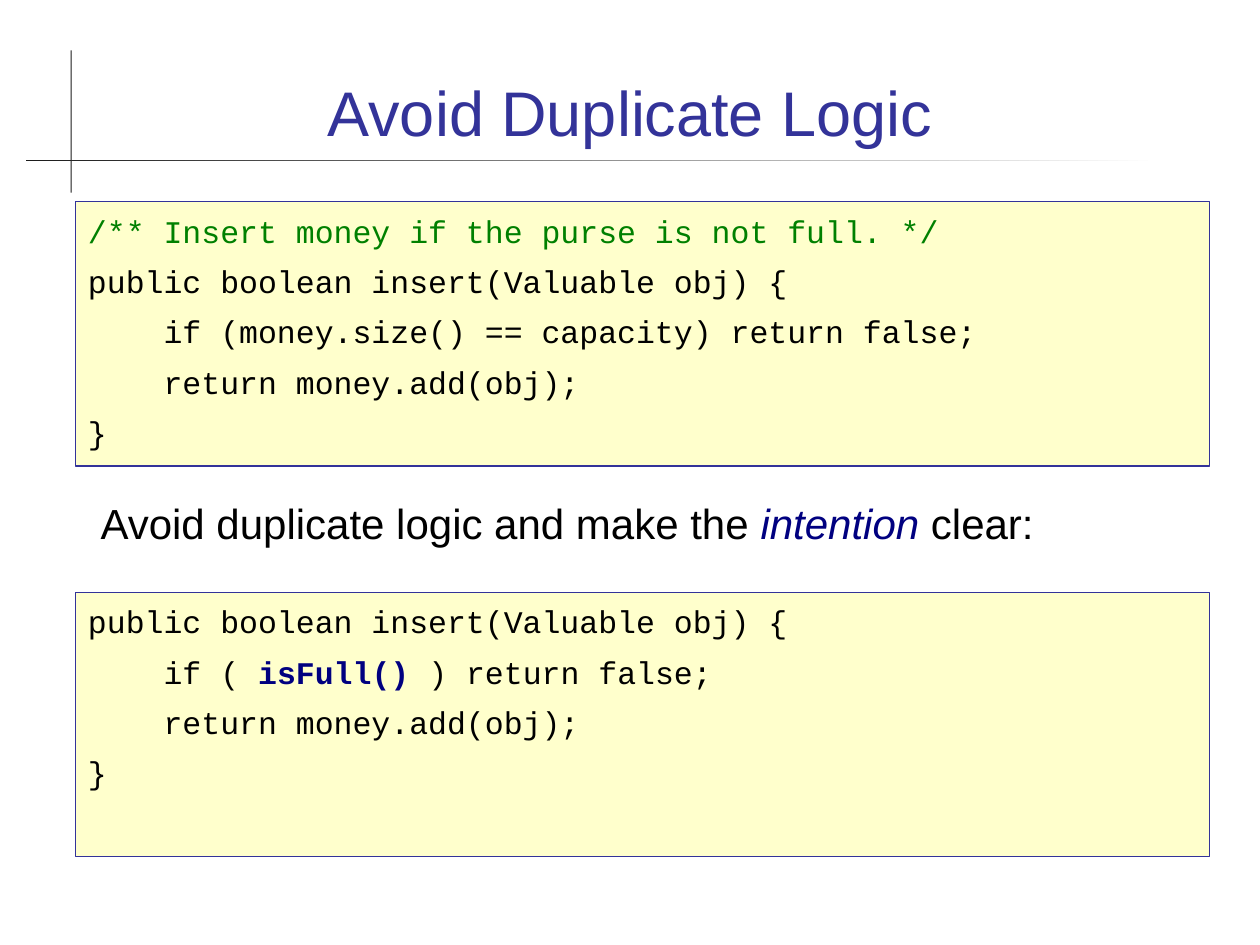
"""Build the slide "Avoid Duplicate Logic" with two code panels."""
from pptx import Presentation
from pptx.dml.color import RGBColor
from pptx.enum.shapes import MSO_SHAPE
from pptx.enum.text import MSO_ANCHOR, PP_ALIGN
from pptx.util import Inches, Pt

COLORS = {"title": "333399", "panel": "FFFFCC", "rule": "1C1C1C", "fade": "FFFFFF",
          "text": "000000", "comment": "008000", "key": "000080"}

TITLE = [[("Avoid Duplicate Logic", "title", {})]]
MESSAGE = [[("Avoid duplicate logic and make the ", "text", {}),
            ("intention", "key", {"italic": True}),
            (" clear:", "text", {})]]
SHARED_CODE = [[("    return money.add(obj);", "text", {})], [("}", "text", {})]]
SIGNATURE = [("public boolean insert(Valuable obj) {", "text", {})]
PANELS = [
    [[("/** Insert money if the purse is not full. */", "comment", {})],
     SIGNATURE,
     [("    if (money.size() == capacity) return false;", "text", {})],
     *SHARED_CODE],
    [SIGNATURE,
     [("    if ( ", "text", {}), ("isFull() ", "key", {"bold": True}),
      (") return false;", "text", {})],
     *SHARED_CODE],
]

WIDTH, HEIGHT = 10, 7.5
PANEL_LEFT, PANEL_TOP, PANEL_STEP = 0.6, 1.6, 3.1
PANEL_WIDTH, PANEL_HEIGHT = WIDTH - 1, 2.1
LINE_GAP = 7.2
TITLE_FONT = {"name": "Arial", "size": Pt(36)}
MESSAGE_FONT = {"name": "Arial", "size": Pt(24)}
CODE_FONT = {"name": "Courier New", "size": Pt(18)}


def color(name):
    return RGBColor.from_string(COLORS[name])


def write(shape, lines, font, align=PP_ALIGN.LEFT, anchor=MSO_ANCHOR.TOP, top=0.05):
    frame = shape.text_frame
    layout = {"word_wrap": True, "vertical_anchor": anchor, "margin_top": Inches(top)}
    for key, value in layout.items():
        setattr(frame, key, value)
    for index, line in enumerate(lines):
        para = frame.add_paragraph() if index else frame.paragraphs[0]
        para.alignment = align
        para.space_before = Pt(LINE_GAP if index else 0)
        for text, tone, style in line:
            span = para.add_run()
            span.text = text
            for key, value in {**font, **style}.items():
                setattr(span.font, key, value)
            span.font.color.rgb = color(tone)


def add_box(page, *area):
    return page.shapes.add_textbox(*map(Inches, area))


def add_rectangle(page, *area):
    shape = page.shapes.add_shape(MSO_SHAPE.RECTANGLE, *map(Inches, area))
    shape.shadow.inherit = False
    return shape


def add_rules(page):
    upright = add_rectangle(page, 0.56, 0.4, 0.01, 1.13)
    upright.fill.solid()
    upright.fill.fore_color.rgb = color("rule")
    level = add_rectangle(page, 0.21, 1.27, 8.98, 0.01)
    level.fill.gradient()
    level.fill.gradient_angle = 180
    for stop, tone, position in zip(level.fill.gradient_stops, ("fade", "rule"), (0, 1)):
        stop.color.rgb = color(tone)
        stop.position = position
    for rule in (upright, level):
        rule.line.fill.background()


def add_panel(page, row, lines):
    panel = add_rectangle(page, PANEL_LEFT, PANEL_TOP + row * PANEL_STEP,
                          PANEL_WIDTH, PANEL_HEIGHT)
    panel.fill.solid()
    panel.fill.fore_color.rgb = color("panel")
    panel.line.color.rgb = color("title")
    panel.line.width = Pt(0.75)
    write(panel, lines, CODE_FONT, top=0.08)


def main():
    deck = Presentation()
    deck.slide_width, deck.slide_height = Inches(WIDTH), Inches(HEIGHT)
    page = deck.slides.add_slide(deck.slide_layouts[6])
    add_rules(page)
    write(add_box(page, 0.67, 0.28, 8.66, 0.95), TITLE, TITLE_FONT,
          PP_ALIGN.CENTER, MSO_ANCHOR.BOTTOM)
    for row, lines in enumerate(PANELS):
        add_panel(page, row, lines)
    write(add_box(page, 0.7, 3.9, 8.8, 0.5), MESSAGE, MESSAGE_FONT)
    deck.save("out.pptx")


if __name__ == "__main__":
    main()
